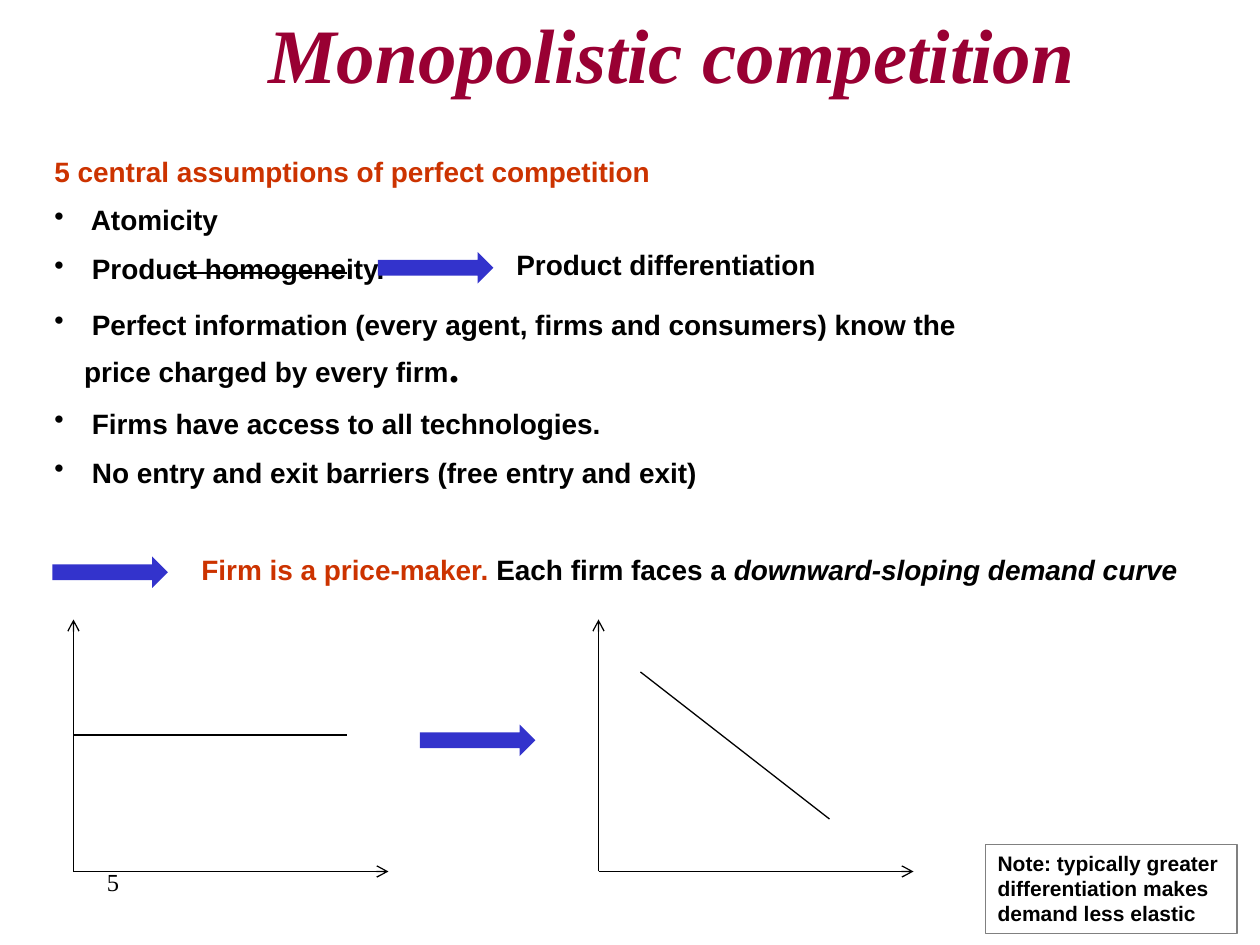
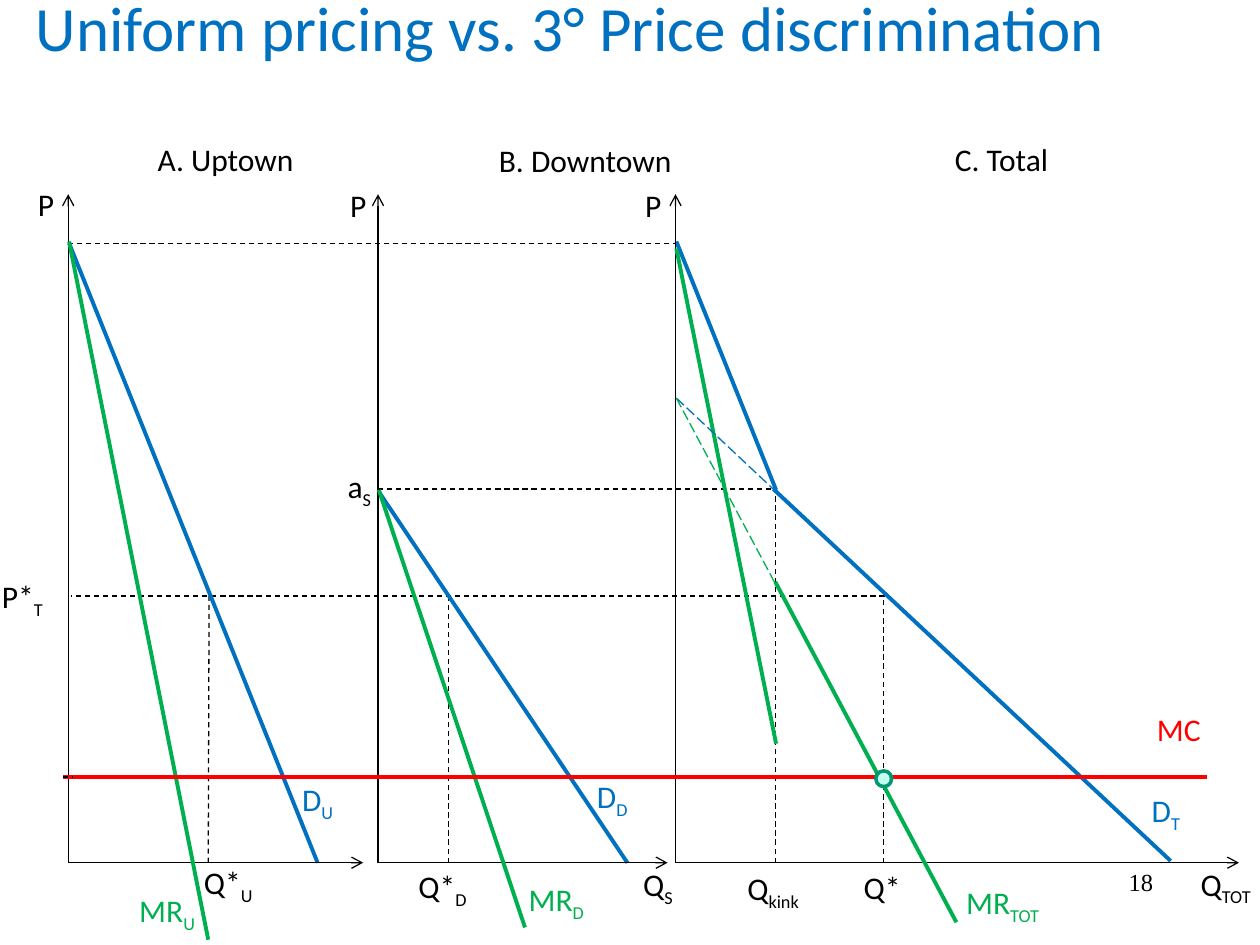
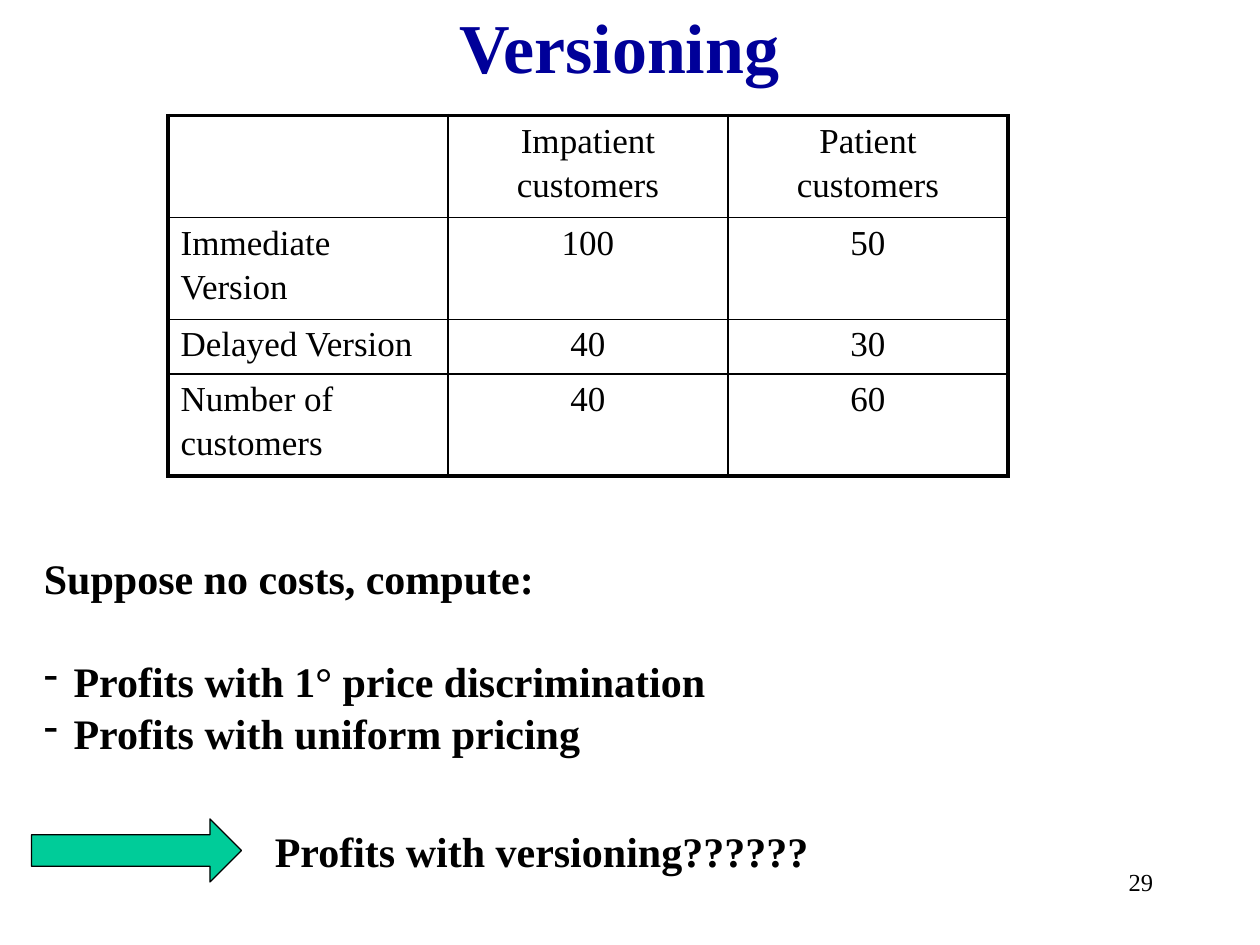
from dataclasses import dataclass
from typing import NamedTuple

from lxml import etree
from pptx import Presentation
from pptx.dml.color import RGBColor
from pptx.enum.dml import MSO_LINE
from pptx.enum.shapes import MSO_CONNECTOR, MSO_SHAPE
from pptx.enum.text import MSO_ANCHOR, PP_ALIGN
from pptx.oxml.ns import qn
from pptx.util import Pt

LEFT, CENTER, RIGHT = PP_ALIGN.LEFT, PP_ALIGN.CENTER, PP_ALIGN.RIGHT
TOP, MIDDLE = MSO_ANCHOR.TOP, MSO_ANCHOR.MIDDLE
DASH, LONG_DASH = MSO_LINE.DASH, MSO_LINE.LONG_DASH
STRAIGHT = MSO_CONNECTOR.STRAIGHT
ARROW, RECTANGLE, OVAL = MSO_SHAPE.RIGHT_ARROW, MSO_SHAPE.RECTANGLE, MSO_SHAPE.OVAL


@dataclass(frozen=True)
class Theme:
    serif: str = "Times New Roman"
    sans: str = "Arial"
    diagram: str = "Calibri"
    black: str = "000000"
    crimson: str = "990033"
    rust: str = "CC3300"
    indigo: str = "3333CC"
    grey: str = "808080"
    blue: str = "0070C0"
    green: str = "00B050"
    red: str = "FF0000"
    navy: str = "000099"
    teal: str = "00CC99"
    mint: str = "C2FFF0"
    dark_teal: str = "009771"
    note: float = 12
    number: float = 14
    body: float = 16
    label: float = 18
    cell: float = 20
    question: float = 24
    title_small: float = 36
    title: float = 40
    title_large: float = 44
    thin: float = 0.75
    inner: float = 1
    thick: float = 2.25
    hanging: float = 17


THEME = Theme()


class Box(NamedTuple):
    x: float
    y: float
    w: float
    h: float


class Point(NamedTuple):
    x: float
    y: float


@dataclass(frozen=True)
class Segment:
    start: Point
    end: Point
    color: str = THEME.black
    width: float = THEME.thin
    dash: MSO_LINE | None = None
    arrow: bool = False


class Label(NamedTuple):
    x: float
    y: float
    w: float
    text: str
    sub: str = ""
    color: str = THEME.black


class Panel(NamedTuple):
    x: float
    end: float
    price: Label
    heading: Label


# Drawing helpers

def rgb(color: str) -> RGBColor:
    return RGBColor.from_string(color)


def write(frame, text: str, *, font: str = THEME.serif, size: float = THEME.body,
          color: str = THEME.black, bold: bool = False, italic: bool = False,
          subscript: bool = False, align=LEFT, before: float = 0,
          spacing: float | None = None, bullet: str = "", join: bool = False) -> None:
    """Add a paragraph, or with join a run at the end of the last paragraph."""
    paragraph = frame.paragraphs[-1]
    if not join:
        if paragraph.runs:
            paragraph = frame.add_paragraph()
        paragraph.alignment = align
        paragraph.space_before = Pt(before)
        if spacing:
            paragraph.line_spacing = spacing
        if bullet:
            properties = paragraph._p.get_or_add_pPr()
            properties.set("marL", str(Pt(THEME.hanging)))
            properties.set("indent", str(-Pt(THEME.hanging)))
            etree.SubElement(properties, qn("a:buChar"), char=bullet)
    run = paragraph.add_run()
    run.text = text
    run.font.name, run.font.size = font, Pt(size)
    run.font.bold, run.font.italic = bold, italic
    run.font.color.rgb = rgb(color)
    if subscript:
        run._r.get_or_add_rPr().set("baseline", "-25000")


def add_frame(slide, box: Box, wrap: bool = True, anchor=TOP):
    frame = slide.shapes.add_textbox(*map(Pt, box)).text_frame
    frame.word_wrap = wrap
    frame.vertical_anchor = anchor
    return frame


def add_figure(slide, kind, box: Box, fill: str = "", line: str = "",
               width: float = THEME.thin):
    shape = slide.shapes.add_shape(kind, *map(Pt, box))
    shape.shadow.inherit = False
    if fill:
        shape.fill.solid()
        shape.fill.fore_color.rgb = rgb(fill)
    else:
        shape.fill.background()
    if line:
        shape.line.color.rgb = rgb(line)
        shape.line.width = Pt(width)
    else:
        shape.line.fill.background()
    return shape


def draw(slide, segment: Segment) -> None:
    connector = slide.shapes.add_connector(
        STRAIGHT, *map(Pt, (*segment.start, *segment.end)))
    line = connector.line
    line.color.rgb = rgb(segment.color)
    line.width = Pt(segment.width)
    if segment.dash is not None:
        line.dash_style = segment.dash
    properties = connector._element.spPr
    if segment.arrow:
        etree.SubElement(properties.find(qn("a:ln")), qn("a:tailEnd"), type="arrow")
    etree.SubElement(properties, qn("a:effectLst"))


def draw_axes(slide, origin: Point, top: float, right: float) -> None:
    for end in (Point(origin.x, top), Point(right, origin.y)):
        draw(slide, Segment(origin, end, arrow=True))


def add_label(slide, label: Label) -> None:
    frame = add_frame(slide, Box(label.x, label.y, label.w, 29), wrap=False)
    look = dict(font=THEME.diagram, size=THEME.label, color=label.color)
    write(frame, label.text, **look)
    if label.sub:
        write(frame, label.sub, subscript=True, join=True, **look)


def add_number(slide, number: str, x: float = 516, align=RIGHT) -> None:
    write(add_frame(slide, Box(x, 492, 150, 36)), number,
          size=THEME.number, align=align)


# Slide: monopolistic competition

ASSUMPTIONS = [
    (" Atomicity", 8.7),
    (" Product homogeneity.", 8.7),
    (" Perfect information (every agent, firms and consumers) know the "
     "price charged by every firm", 12.5),
    (" Firms have access to all technologies.", 8.7),
    (" No entry and exit barriers (free entry and exit)", 8.7),
]


def build_competition(slide) -> None:
    strong = dict(font=THEME.sans, bold=True)
    add_number(slide, "5", 54, LEFT)
    write(add_frame(slide, Box(78, 0, 612, 60)), "Monopolistic competition",
          size=THEME.title_large, color=THEME.crimson, bold=True, italic=True,
          align=CENTER)

    assumptions = add_frame(slide, Box(24, 84.5, 540, 201))
    write(assumptions, "5 central assumptions of perfect competition",
          color=THEME.rust, **strong)
    for text, before in ASSUMPTIONS:
        write(assumptions, text, before=before, bullet="•", **strong)
        if text.endswith("every firm"):
            write(assumptions, ".", size=THEME.question, bold=True, join=True)

    # Homogeneity gives way to differentiation
    draw(slide, Segment(Point(102, 156), Point(198, 156)))
    for x, y in ((216, 144), (30, 318), (240, 414)):
        add_figure(slide, ARROW, Box(x, y, 66, 18), fill=THEME.indigo)
    write(add_frame(slide, Box(288, 138, 252, 27)), "Product differentiation", **strong)

    price_maker = add_frame(slide, Box(108, 312, 580, 27), wrap=False)
    write(price_maker, "Firm is a price-maker. ", color=THEME.rust, **strong)
    write(price_maker, "Each firm faces a ", join=True, **strong)
    write(price_maker, "downward-sloping demand curve", italic=True, join=True, **strong)

    # Flat and downward-sloping demand
    for x in (42, 342):
        draw_axes(slide, Point(x, 498), 354, x + 180)
    draw(slide, Segment(Point(42, 420), Point(198, 420)))
    draw(slide, Segment(Point(366, 384), Point(474, 468)))

    note = add_figure(slide, RECTANGLE, Box(563, 482.5, 144, 51), line=THEME.grey)
    note.text_frame.word_wrap = True
    note.text_frame.vertical_anchor = TOP
    write(note.text_frame, "Note: typically greater differentiation makes "
          "demand less elastic", size=THEME.note, **strong)


# Slide: uniform pricing

BASE, AXIS_TOP, COST = 493, 111, 444
CHOKE, KINK, PRICE = 139, 279.5, 340.5

PANELS = [
    Panel(39, 207.5, Label(14.5, 102, 24, "P"), Label(83, 76.5, 93, "A. Uptown")),
    Panel(216, 381.5, Label(193, 103, 24, "P"), Label(278, 77, 114.5, "B. Downtown")),
    Panel(386, 708, Label(361.5, 103, 24, "P"), Label(538.5, 76.5, 68.5, "C. Total")),
]
GUIDES = [
    (Point(505, BASE), Point(505, 448)),
    (Point(505.5, PRICE), Point(40.5, PRICE)),
    (Point(256.5, BASE), Point(256.5, PRICE)),
    (Point(119, BASE), Point(119.5, PRICE)),
    (Point(505, COST), Point(505, PRICE)),
    (Point(39, CHOKE), Point(386, CHOKE)),
    (Point(443, BASE), Point(443, KINK)),
    (Point(216, KINK), Point(444, KINK)),
]
DEMAND = [
    (Point(39.5, CHOKE), Point(181.5, BASE)),
    (Point(216.5, 281), Point(358.5, BASE)),
    (Point(386.5, 138), Point(443.5, 280)),
    (Point(442, KINK), Point(669, 492)),
]
MARGINAL_REVENUE = [
    (Point(39.5, 138), Point(119, 537)),
    (Point(216.5, 280), Point(300, 530)),
    (Point(386.5, 142), Point(443.5, 425)),
    (Point(443, 332.5), Point(546.5, 527)),
]
EXTENSIONS = [
    (Point(443.5, 281), THEME.blue),
    (Point(443, 333.5), THEME.green),
]
LABELS = [
    Label(165.5, 442, 34, "D", "U", THEME.blue),
    Label(334, 440.5, 33, "D", "D", THEME.blue),
    Label(651, 448.5, 32, "D", "T", THEME.blue),
    Label(72.5, 505.5, 47.5, "MR", "U", THEME.green),
    Label(295, 499.5, 47.5, "MR", "D", THEME.green),
    Label(545, 501, 59, "MR", "TOT", THEME.green),
    Label(654, 402, 39.5, "MC", color=THEME.red),
    Label(360.5, 491, 33, "Q", "S"),
    Label(679, 490.5, 45, "Q", "TOT"),
    Label(109.5, 489.5, 44, "Q*", "U"),
    Label(232, 492, 43, "Q*", "D"),
    Label(486.5, 492.5, 36, "Q*"),
    Label(-6, 326, 39, "P*", "T"),
    Label(420, 493, 47, "Q", "kink"),
    Label(191.5, 263.5, 29, "a", "S"),
]


def build_pricing(slide) -> None:
    add_number(slide, "18")
    for start, end in GUIDES:
        draw(slide, Segment(start, end, dash=DASH))
    for start, end in DEMAND:
        draw(slide, Segment(start, end, THEME.blue, THEME.thick))
    write(add_frame(slide, Box(-34, 0, 720, 73)),
          "Uniform pricing vs. 3° Price discrimination", font=THEME.diagram,
          size=THEME.title_small, color=THEME.blue, align=CENTER, spacing=0.75)
    for panel in PANELS:
        draw_axes(slide, Point(panel.x, BASE), AXIS_TOP, panel.end)
        add_label(slide, panel.price)
        add_label(slide, panel.heading)
    for start, end in MARGINAL_REVENUE:
        draw(slide, Segment(start, end, THEME.green, THEME.thick))
    for end, color in EXTENSIONS:
        draw(slide, Segment(Point(386.5, 227.5), end, color, dash=LONG_DASH))

    # Marginal cost and the optimum
    draw(slide, Segment(Point(36, COST), Point(690, COST), THEME.red, THEME.thick))
    add_figure(slide, OVAL, Box(500.5, 440.5, 9, 9), THEME.mint, THEME.dark_teal, 2)
    for label in LABELS:
        add_label(slide, label)
    draw(slide, Segment(Point(36, COST), Point(42, COST), dash=DASH))


# Slide: versioning

VALUATIONS = [
    ("", "Impatient\ncustomers", "Patient\ncustomers"),
    ("Immediate\nVersion", "100", "50"),
    ("Delayed Version", "40", "30"),
    ("Number of\ncustomers", "40", "60"),
]
ROW_HEIGHTS = (56, 56, 30, 56)


def set_borders(cell, outer_sides: dict[str, bool]) -> None:
    properties = cell._tc.get_or_add_tcPr()
    for side, outer in outer_sides.items():
        width = THEME.thick if outer else THEME.inner
        border = etree.SubElement(properties, qn(f"a:ln{side}"), w=str(Pt(width)))
        fill = etree.SubElement(border, qn("a:solidFill"))
        etree.SubElement(fill, qn("a:srgbClr"), val=THEME.black)
    cell.fill.background()


def add_valuations(slide, box: Box) -> None:
    rows, columns = len(VALUATIONS), len(VALUATIONS[0])
    table = slide.shapes.add_table(rows, columns, *map(Pt, box)).table
    table.first_row = table.horz_banding = False
    for column in table.columns:
        column.width = Pt(box.w / columns)
    for r, values in enumerate(VALUATIONS):
        table.rows[r].height = Pt(ROW_HEIGHTS[r])
        for c, value in enumerate(values):
            cell = table.cell(r, c)
            for i, text in enumerate(value.splitlines()):
                write(cell.text_frame, text, size=THEME.cell,
                      align=CENTER if c else LEFT, before=3 if i else 0)
            set_borders(cell, {"L": c == 0, "R": c == columns - 1,
                               "T": r == 0, "B": r == rows - 1})


def build_versioning(slide) -> None:
    strong = dict(size=THEME.question, bold=True)
    add_number(slide, "29")
    add_valuations(slide, Box(96, 66, 480, sum(ROW_HEIGHTS)))
    write(add_frame(slide, Box(48, 0, 612, 52), anchor=MIDDLE), "Versioning",
          size=THEME.title, color=THEME.navy, bold=True, align=CENTER)

    tasks = add_frame(slide, Box(18, 312, 654, 153))
    write(tasks, "Suppose no costs, compute:", **strong)
    write(tasks, "Profits with 1° price discrimination", before=30, bullet="-", **strong)
    write(tasks, "Profits with uniform pricing", before=1.2, bullet="-", **strong)

    add_figure(slide, ARROW, Box(18, 468, 120, 36), THEME.teal, THEME.black)
    write(add_frame(slide, Box(150, 468, 396, 36)),
          "Profits with versioning??????", **strong)


def main() -> None:
    deck = Presentation()
    deck.slide_width, deck.slide_height = Pt(720), Pt(540)
    blank = deck.slide_layouts[6]
    for build in (build_competition, build_pricing, build_versioning):
        build(deck.slides.add_slide(blank))
    deck.save("out.pptx")


if __name__ == "__main__":
    main()
